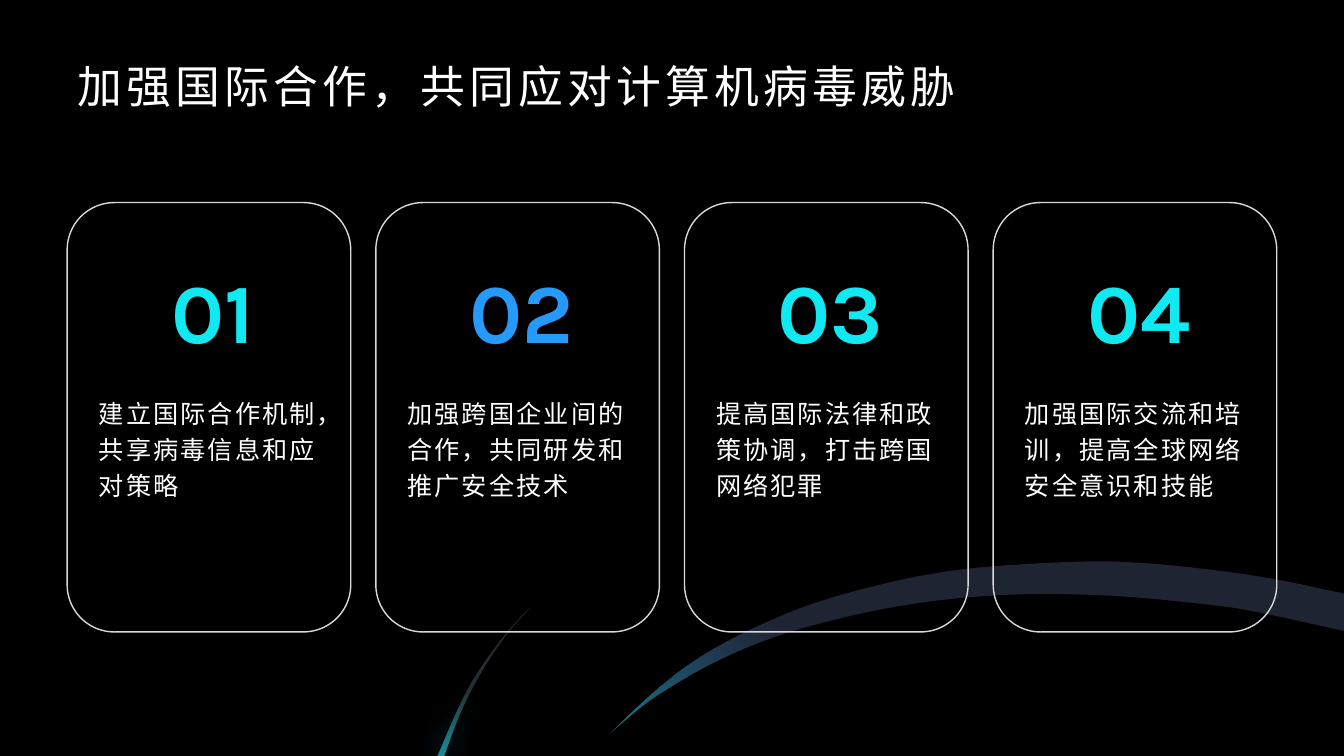
from dataclasses import dataclass
from typing import NamedTuple, Optional

from lxml.etree import SubElement
from pptx import Presentation
from pptx.dml.color import RGBColor
from pptx.enum.shapes import MSO_SHAPE
from pptx.enum.text import MSO_ANCHOR, PP_ALIGN
from pptx.oxml.ns import qn
from pptx.util import Emu, Inches, Pt

COLORS = {
    "background": "000000", "text": "FFFFFF", "outline": "D9D9D9",
    "cyan": "10E9F2", "blue": "259AFA", "indigo": "3366FF",
    "arc": "1E1D1B", "streak": "252D30", "glow": "1EB5F7",
}

# All places and sizes below are percentages of the slide's width and height.
MARGIN = 5
CARD_WIDTH, CARD_TOP, CARD_HEIGHT = 21.1, 26.8, 56.8
NUMBER_INSET, BODY_INSET = 3.37, 1.75


class Point(NamedTuple):
    x: float
    y: float


class Box(NamedTuple):
    left: float
    top: float
    width: float
    height: float


class Stop(NamedTuple):
    position: float
    color: str
    opacity: int


@dataclass
class Card:
    number: str
    color: str
    body: str


@dataclass
class TextStyle:
    font: str
    size: float
    color: str = "text"
    bold: bool = False
    tracking: float = 0
    line_spacing: Optional[float] = None
    align: PP_ALIGN = PP_ALIGN.LEFT
    anchor: MSO_ANCHOR = MSO_ANCHOR.TOP
    insets: tuple = (0.1, 0.05, 0, 0.05)


@dataclass
class Ribbon:
    edges: list
    base: str
    stops: list
    angle: int
    glow: Optional[str] = None


CARDS = [
    Card("01", "cyan", "建立国际合作机制，共享病毒信息和应对策略"),
    Card("02", "blue", "加强跨国企业间的合作，共同研发和推广安全技术"),
    Card("03", "cyan", "提高国际法律和政策协调，打击跨国网络犯罪"),
    Card("04", "cyan", "加强国际交流和培训，提高全球网络安全意识和技能"),
]

ARC = Ribbon(
    [
        [(45.38, 97.07), (47.7, 93.07), (50.25, 89.2), (53.18, 85.73), (56.55, 82.67),
         (60.45, 79.87), (64.58, 77.73), (69, 76), (73.65, 74.93), (80.78, 74.27),
         (85.5, 74.53), (90.6, 75.47), (95.03, 76.67), (100, 78.53)],
        [(100, 83.47), (94.5, 81.33), (90.6, 80.13), (82.65, 78.8), (75, 78.67),
         (67.95, 79.87), (61.43, 82.27), (56.4, 85.07), (52.05, 88.67),
         (48.38, 92.67), (45.38, 97.07)],
    ],
    "arc", [Stop(0, "cyan", 50), Stop(0.31, "indigo", 10)], 45)
STREAK = Ribbon(
    [
        [(39.45, 80.4), (37.71, 83.92), (35.96, 88.53), (34.36, 93.95), (33.08, 100)],
        [(32.55, 100), (34.73, 91.36), (36.95, 85.39), (38.72, 81.67), (39.45, 80.4)],
    ],
    "streak", [Stop(0.55, "cyan", 0), Stop(1, "cyan", 50)], 270, "glow")

TITLE = TextStyle("Roboto", 32, tracking=3, anchor=MSO_ANCHOR.BOTTOM, insets=(0.1, 0, 0.1, 0))
BODY = TextStyle("Karla", 18, tracking=1.5, line_spacing=1.2, insets=(0.08, 0.05, 0, 0.05))

deck = Presentation()
deck.slide_width, deck.slide_height = Inches(13.333), Inches(7.5)
slide = deck.slides.add_slide(deck.slide_layouts[6])


def rgb(name: str) -> RGBColor:
    return RGBColor.from_string(COLORS[name])


def across(share: float) -> Emu:
    return Emu(round(deck.slide_width * share / 100))


def down(share: float) -> Emu:
    return Emu(round(deck.slide_height * share / 100))


def place(box: Box) -> tuple:
    return across(box.left), down(box.top), across(box.width), down(box.height)


def smooth(knots: list, steps: int = 6) -> list:
    """Points of a Catmull-Rom curve that passes through the knots."""
    padded = [knots[0], *knots, knots[-1]]
    curve = [Point(*knots[0])]
    for a, b, c, d in zip(padded, padded[1:], padded[2:], padded[3:]):
        for step in range(1, steps + 1):
            t = step / steps
            curve.append(Point(*(
                q + t * (r - p) / 2 + t**2 * (2 * p - 5 * q + 4 * r - s) / 2
                + t**3 * (3 * q - p - 3 * r + s) / 2
                for p, q, r, s in zip(a, b, c, d))))
    return curve


def draw_outline(edges: list):
    start, *rest = [(across(p.x), down(p.y)) for edge in edges for p in smooth(edge)]
    builder = slide.shapes.build_freeform(*start)
    builder.add_line_segments(rest, close=True)
    shape = builder.convert_to_shape()
    shape.line.fill.background()
    shape.shadow.inherit = False
    return shape


def draw_base(ribbon: Ribbon) -> None:
    shape = draw_outline(ribbon.edges)
    shape.fill.solid()
    shape.fill.fore_color.rgb = rgb(ribbon.base)


def draw_tint(ribbon: Ribbon) -> None:
    """Lay the translucent gradient, and any glow, over the ribbon's base."""
    shape = draw_outline(ribbon.edges)
    shape.fill.gradient()
    shape.fill.gradient_angle = ribbon.angle
    for target, stop in zip(shape.fill.gradient_stops, ribbon.stops):
        target.position = stop.position
        target.color.rgb = rgb(stop.color)
    properties = shape._element.spPr
    for color, stop in zip(properties.iter(qn("a:srgbClr")), ribbon.stops):
        SubElement(color, qn("a:alpha"), val=str(stop.opacity * 1000))
    if ribbon.glow:
        halo = SubElement(properties.find(qn("a:effectLst")), qn("a:outerShdw"),
                          blurRad=str(Pt(20)), dist="0", dir="0")
        SubElement(halo, qn("a:srgbClr"), val=COLORS[ribbon.glow])


def write(text: str, box: Box, style: TextStyle) -> None:
    frame = slide.shapes.add_textbox(*place(box)).text_frame
    frame.word_wrap = True
    frame.vertical_anchor = style.anchor
    (frame.margin_left, frame.margin_top,
     frame.margin_right, frame.margin_bottom) = map(Inches, style.insets)
    paragraph = frame.paragraphs[0]
    paragraph.text = text
    paragraph.alignment = style.align
    paragraph.line_spacing = style.line_spacing
    font = paragraph.font
    font.name, font.size, font.bold = style.font, Pt(style.size), style.bold
    font.color.rgb = rgb(style.color)
    defaults = paragraph._p.pPr.find(qn("a:defRPr"))
    defaults.set("spc", str(round(style.tracking * 100)))


def draw_card(card: Card, left: float) -> None:
    frame = slide.shapes.add_shape(
        MSO_SHAPE.ROUNDED_RECTANGLE, *place(Box(left, CARD_TOP, CARD_WIDTH, CARD_HEIGHT)))
    frame.fill.background()
    frame.line.color.rgb = rgb("outline")
    frame.line.width = Pt(1)
    frame.shadow.inherit = False
    write(card.body, Box(left + BODY_INSET, 51.2, 17.55, 27), BODY)
    write(card.number, Box(left + NUMBER_INSET, 33.05, 14.25, 16),
          TextStyle("Karla", 60, card.color, bold=True,
                    align=PP_ALIGN.CENTER, anchor=MSO_ANCHOR.MIDDLE))


slide.background.fill.solid()
slide.background.fill.fore_color.rgb = rgb("background")
for draw in (draw_base, draw_tint):
    for ribbon in (ARC, STREAK):
        draw(ribbon)
write("加强国际合作，共同应对计算机病毒威胁", Box(MARGIN, 6.67, 100 - 2 * MARGIN, 8.27), TITLE)
pitch = (100 - 2 * MARGIN - CARD_WIDTH) / (len(CARDS) - 1)
for column, card in enumerate(CARDS):
    draw_card(card, MARGIN + column * pitch)
deck.save("out.pptx")
